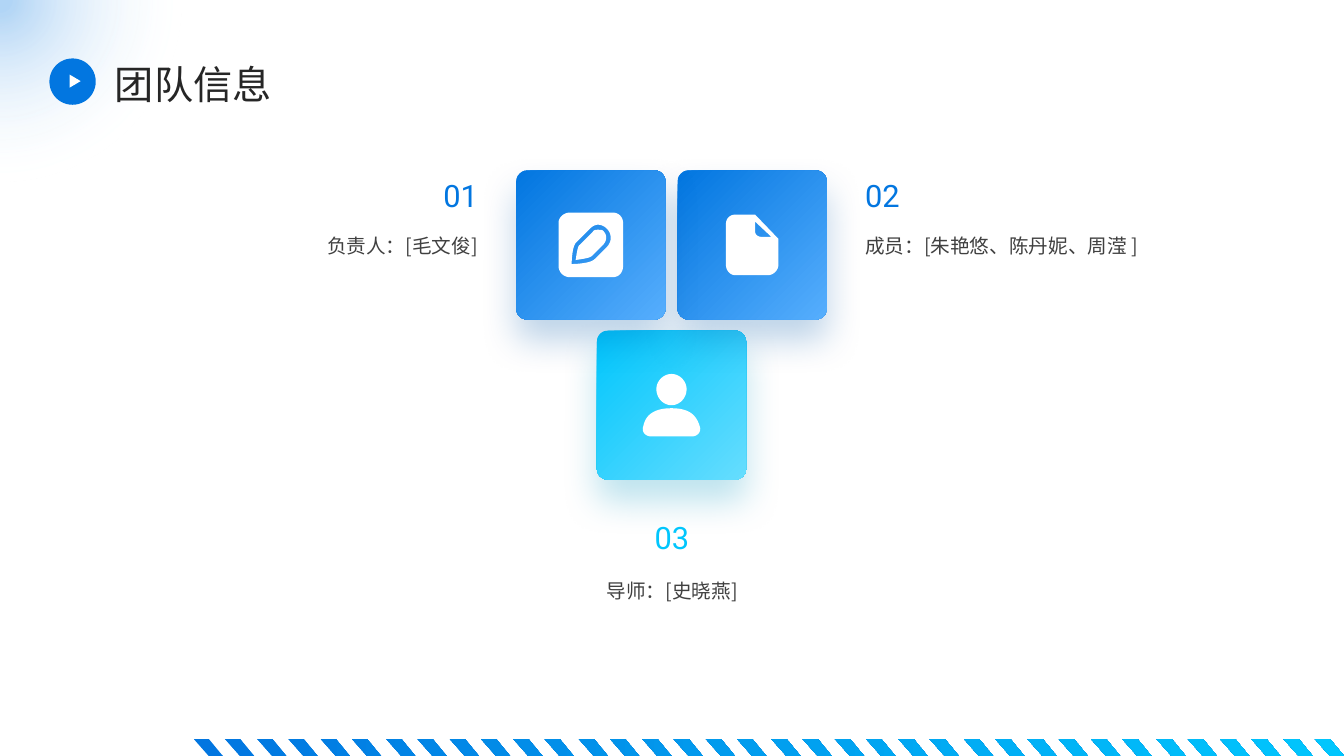
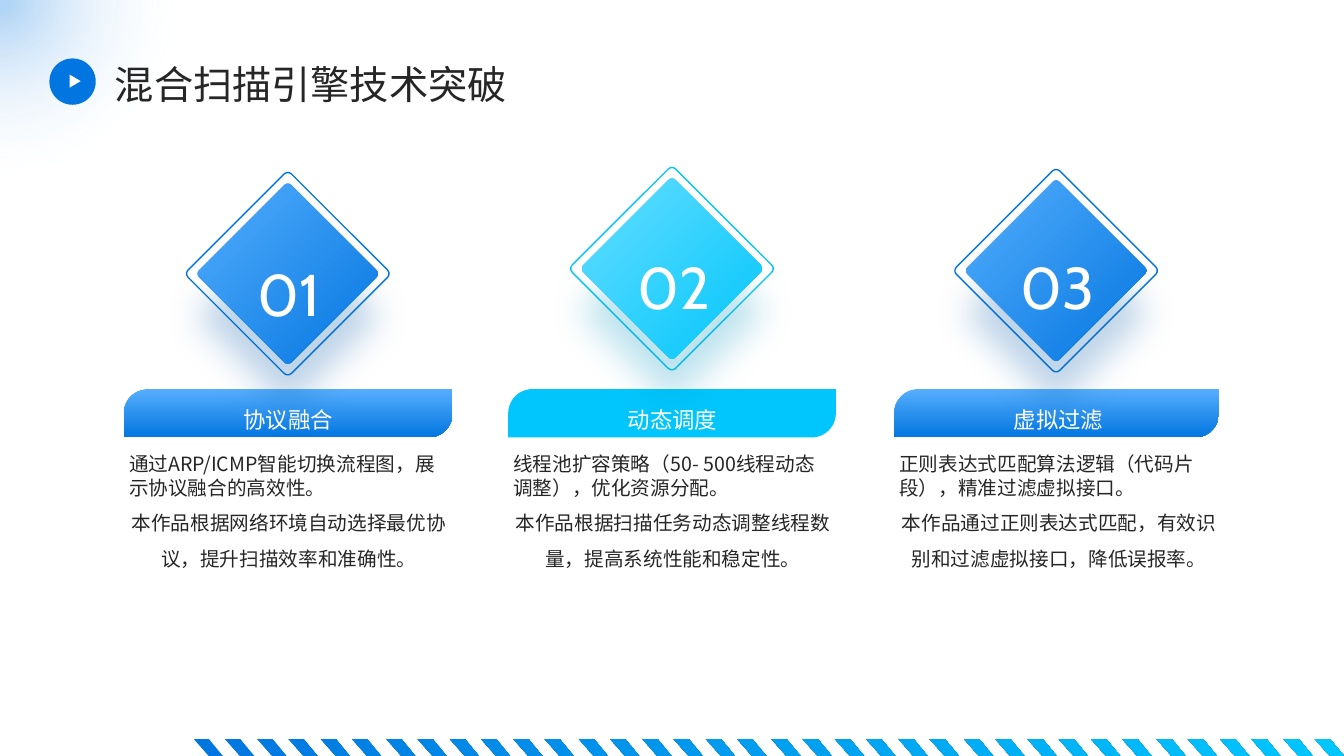
from dataclasses import dataclass

from pptx import Presentation
from pptx.dml.color import RGBColor
from pptx.enum.shapes import MSO_SHAPE
from pptx.enum.text import MSO_ANCHOR, PP_ALIGN
from pptx.oxml.ns import qn
from pptx.util import Emu, Pt
from lxml.etree import SubElement

EMU_PER_PX = 9144  # 100 px to the inch


@dataclass(frozen=True)
class Theme:
    blue: str = "0276E0"
    light_blue: str = "56AEFD"
    blue_shadow: str = "0158A8"
    cyan: str = "01C6FD"
    light_cyan: str = "66DDFE"
    cyan_shadow: str = "0194BE"
    ink: str = "262626"
    grey: str = "404040"
    white: str = "FFFFFF"
    text_font: str = "Noto Sans CJK SC"
    number_font: str = "Roboto"
    badge_font: str = "Cabin"
    title_size: int = 28
    number_size: int = 22
    badge_size: int = 42
    label_size: int = 16
    body_size: int = 14
    tight_line: Pt = Pt(17)
    loose_line: Pt = Pt(25.5)


T = Theme()
BLUES = (T.blue, T.light_blue, T.blue_shadow)
CYANS = (T.cyan, T.light_cyan, T.cyan_shadow)

# Icon outlines inside a 148 px tile: pairs are corners, sixes are Bézier curves
PEN_ICON = [
    [(53, 42), (96, 42), (102, 42, 106, 47, 106, 52), (106, 95),
     (106, 101, 102, 106, 96, 106), (53, 106), (47, 106, 42, 101, 42, 95),
     (42, 52), (42, 47, 47, 42, 53, 42)],
    [(81, 54), (78, 54, 75, 56, 73, 58), (60, 71), (55, 75, 55, 93, 55, 93),
     (55, 93, 73, 93, 78, 88), (90, 76), (95, 71, 95, 63, 90, 58),
     (88, 56, 85, 54, 81, 54)],
    [(81, 59), (84, 59, 86, 59, 87, 61), (90, 64, 90, 69, 87, 73), (75, 85),
     (73, 87, 66, 88, 59, 89), (60, 82, 61, 75, 63, 74), (76, 61),
     (77, 59, 79, 59, 81, 59)],
]
PAGE_ICON = [
    [(57, 44), (77, 44), (100, 68), (100, 94), (100, 99, 95, 104, 90, 104),
     (57, 104), (52, 104, 48, 99, 48, 94), (48, 53), (48, 48, 52, 44, 57, 44)],
    [(77, 51), (77, 61), (77, 64, 80, 66, 83, 66), (93, 66)],
]
PERSON_ICON = [
    [(74, 77), (93, 77, 99, 85, 102, 95), (104, 100, 100, 105, 94, 105),
     (54, 105), (48, 105, 44, 100, 46, 95), (48, 85, 55, 77, 74, 77)],
    [(74, 43), (82, 43, 89, 50, 89, 58), (89, 67, 82, 74, 74, 74),
     (66, 74, 59, 67, 59, 58), (59, 50, 66, 43, 74, 43)],
]


def px(n):
    return Emu(round(n * EMU_PER_PX))


def rgb(code):
    return RGBColor.from_string(code)


# Fills and effects
def solid(sp, color):
    sp.fill.solid()
    sp.fill.fore_color.rgb = rgb(color)


def gradient(sp, start, end, angle=0):
    """Linear gradient; the angle runs clockwise from left to right."""
    sp.fill.gradient()
    sp.fill.gradient_angle = (360 - angle) % 360
    for stop, color in zip(sp.fill.gradient_stops, (start, end)):
        stop.color.rgb = rgb(color)


def drop_shadow(sp, color, distance):
    effects = sp._element.spPr.find(qn("a:effectLst"))
    shadow = SubElement(effects, qn("a:outerShdw"), blurRad=str(Pt(26)),
                        dist=str(Pt(distance)), dir="5400000",
                        algn="ctr", rotWithShape="0")
    tint = SubElement(shadow, qn("a:srgbClr"), val=color)
    SubElement(tint, qn("a:alpha"), val="25000")


# Basic parts
def add_box(s, kind, box, rotation=0, adjustments=()):
    sp = s.shapes.add_shape(kind, *map(px, box))
    sp.shadow.inherit = False
    sp.line.fill.background()
    sp.rotation = rotation
    for i, value in enumerate(adjustments):
        sp.adjustments[i] = value
    return sp


def add_text(s, box, text, size, color, font=T.text_font, align=PP_ALIGN.LEFT,
             anchor=MSO_ANCHOR.TOP, spacing=1.1):
    tb = s.shapes.add_textbox(*map(px, box))
    tf = tb.text_frame
    tf.word_wrap = True
    tf.vertical_anchor = anchor
    tf.margin_left = tf.margin_right = tf.margin_top = tf.margin_bottom = 0
    tf.text = text
    for p in tf.paragraphs:
        p.alignment = align
        p.line_spacing = spacing
        for r in p.runs:
            r.font.name = font
            r.font.size = Pt(size)
            r.font.color.rgb = rgb(color)
            SubElement(r._r.get_or_add_rPr(), qn("a:ea"), typeface=font)
    return tf


def flatten(outline, steps=12):
    """Turn an outline of corners and Bézier curves into points."""
    points = [outline[0]]
    for part in outline[1:]:
        if len(part) == 2:
            points.append(part)
            continue
        controls = [points[-1], part[:2], part[2:4], part[4:]]
        for t in (i / steps for i in range(1, steps + 1)):
            weights = ((1 - t) ** 3, 3 * t * (1 - t) ** 2,
                       3 * t * t * (1 - t), t ** 3)
            points.append(tuple(sum(w * c[axis] for w, c in zip(weights, controls))
                                for axis in (0, 1)))
    return points


def add_outline(s, outlines, left=0, top=0):
    contours = [[(px(left + x), px(top + y)) for x, y in flatten(outline)]
                for outline in outlines]
    builder = s.shapes.build_freeform(*contours[0][0], scale=1.0)
    for i, points in enumerate(contours):
        if i:
            builder.move_to(*points[0])
        builder.add_line_segments(points[1:], close=True)
    sp = builder.convert_to_shape()
    sp.shadow.inherit = False
    sp.line.fill.background()
    return sp


# Shared frame
def add_stripes(s):
    starts = [192 + 191 * group + 63 * i // 2 for group in range(6) for i in range(6)]
    stripes = add_outline(s, [[(x, 733), (x + 15, 733), (x + 29, 750), (x + 15, 750)]
                              for x in starts])
    gradient(stripes, T.blue, T.cyan)


def add_glow(s):
    glow = add_box(s, MSO_SHAPE.OVAL, (-180, -180, 360, 360))
    gradient(glow, T.blue, T.white)
    fill = glow._element.spPr.find(qn("a:gradFill"))
    for stop, position, alpha in zip(fill.iter(qn("a:gs")), (4, 72), (30, 0)):
        stop.set("pos", str(position * 1000))
        SubElement(stop[0], qn("a:alpha"), val=str(alpha * 1000))
    fill.remove(fill.find(qn("a:lin")))
    radial = SubElement(fill, qn("a:path"), path="circle")
    SubElement(radial, qn("a:fillToRect"), l="50000", t="50000", r="50000", b="50000")


def add_frame(prs, title):
    s = prs.slides.add_slide(prs.slide_layouts[6])
    add_stripes(s)
    add_glow(s)
    add_text(s, (114, 57, 1145, 47), title, T.title_size, T.ink,
             anchor=MSO_ANCHOR.MIDDLE)
    solid(add_box(s, MSO_SHAPE.OVAL, (49, 58, 46, 46)), T.blue)
    solid(add_box(s, MSO_SHAPE.ISOSCELES_TRIANGLE, (68, 75, 13, 11), 90), T.white)
    return s


# Team slide
def add_tile(s, left, top, icon, colors):
    dark, light, shade = colors
    tile = add_box(s, MSO_SHAPE.ROUNDED_RECTANGLE, (left, top, 148, 148),
                   adjustments=[0.075])
    gradient(tile, dark, light, 45)
    drop_shadow(tile, shade, 15)
    solid(add_outline(s, icon, left, top), T.white)


def add_role(s, box, number, text, color, align):
    """Number in the top of the box, role text below it."""
    left, top, width, number_height, gap = box
    add_text(s, (left, top, width, number_height), number, T.number_size, color,
             T.number_font, align, MSO_ANCHOR.BOTTOM)
    add_text(s, (left, top + number_height + gap, width, 118), text, T.body_size,
             T.grey, align=align, spacing=T.loose_line)


def add_team_slide(prs):
    s = add_frame(prs, "团队信息")
    add_tile(s, 592, 328, PERSON_ICON, CYANS)
    add_tile(s, 672, 169, PAGE_ICON, BLUES)
    add_tile(s, 512, 169, PEN_ICON, BLUES)
    add_role(s, (72, 124, 402, 88, 8), "01", "负责人：[毛文俊]", T.blue, PP_ALIGN.RIGHT)
    add_role(s, (858, 124, 402, 88, 8), "02", "成员：[朱艳悠、陈丹妮、周滢 ]",
             T.blue, PP_ALIGN.LEFT)
    add_role(s, (382, 492, 569, 59, 11), "03", "导师：[史晓燕]", T.cyan, PP_ALIGN.CENTER)


# Breakthrough slide
def add_diamond(s, left, top, number, number_top, colors):
    dark, light, shade = colors
    frame = add_box(s, MSO_SHAPE.ROUNDED_RECTANGLE, (left, top, 145, 145), 315, [0.035])
    frame.fill.background()
    frame.line.color.rgb = rgb(dark)
    frame.line.width = Pt(1)
    core = add_box(s, MSO_SHAPE.ROUNDED_RECTANGLE, (left + 8, top + 8, 129, 129),
                   315, [0.035])
    gradient(core, light, dark, 90)
    drop_shadow(core, shade, 30)
    add_text(s, (left + 23, number_top, 102, 101), number, T.badge_size, T.white,
             T.badge_font, PP_ALIGN.CENTER, MSO_ANCHOR.MIDDLE, 1.5)


def add_column(s, left, width, diamond_top, number_top, number, label, body, colors):
    bar = add_box(s, MSO_SHAPE.ROUND_2_DIAG_RECTANGLE, (left, 386, width, 48),
                  adjustments=[0.5, 0])
    if colors is BLUES:
        gradient(bar, T.light_blue, T.blue, 90)
    else:
        solid(bar, T.cyan)
    add_diamond(s, left + (width - 145) // 2, diamond_top, number, number_top, colors)
    add_text(s, (left + 5, 391, 316, 38), label, T.label_size, T.white,
             align=PP_ALIGN.CENTER, anchor=MSO_ANCHOR.MIDDLE, spacing=1.5)
    tf = add_text(s, (left + 5, 448, 317, 177), body, T.body_size, T.ink,
                  align=PP_ALIGN.CENTER, spacing=T.loose_line)
    summary = tf.paragraphs[0]
    summary.alignment = PP_ALIGN.LEFT
    summary.line_spacing = T.tight_line


def add_breakthrough_slide(prs):
    s = add_frame(prs, "混合扫描引擎技术突破")
    columns = [
        (123, 326, 199, 223, "01", "协议融合",
         "通过ARP/ICMP智能切换流程图，展示协议融合的高效性。\n"
         "本作品根据网络环境自动选择最优协议，提升扫描效率和准确性。", BLUES),
        (504, 325, 194, 216, "02", "动态调度",
         "线程池扩容策略（50- 500线程动态调整），优化资源分配。\n"
         "本作品根据扫描任务动态调整线程数量，提高系统性能和稳定性。", CYANS),
        (887, 322, 196, 216, "03", "虚拟过滤",
         "正则表达式匹配算法逻辑（代码片段），精准过滤虚拟接口。\n"
         "本作品通过正则表达式匹配，有效识别和过滤虚拟接口，降低误报率。", BLUES),
    ]
    for column in columns:
        add_column(s, *column)


def main():
    prs = Presentation()
    prs.slide_width, prs.slide_height = px(1333), px(750)
    add_team_slide(prs)
    add_breakthrough_slide(prs)
    prs.save("out.pptx")


if __name__ == "__main__":
    main()
